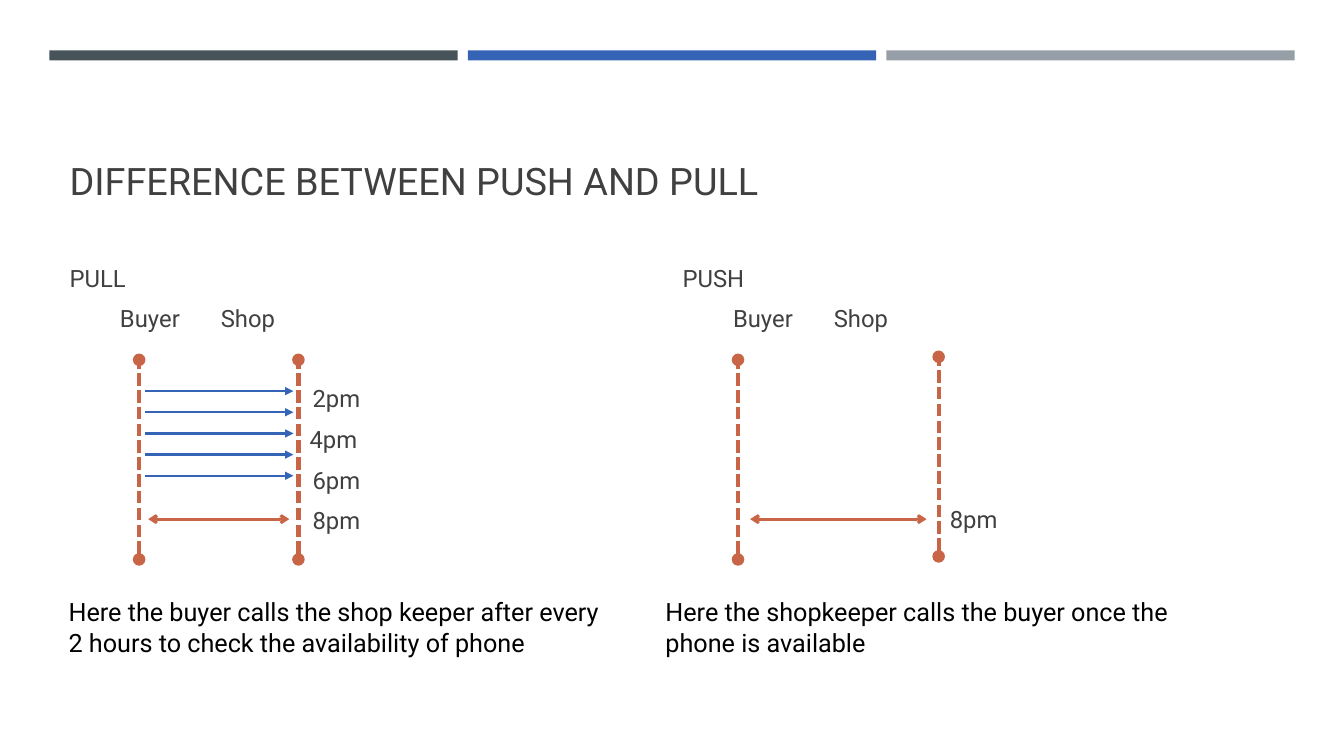
from dataclasses import dataclass

from lxml import etree
from pptx import Presentation
from pptx import util as u
from pptx.dml.color import RGBColor
from pptx.enum import dml, shapes, text
from pptx.oxml.ns import qn

PX = 9144


@dataclass(frozen=True)
class Theme:
    """Colours, font and type sizes of the slide."""
    font: str = "Roboto"
    slate: str = "465359"
    blue: str = "3564B7"
    grey: str = "969FA7"
    rust: str = "C96547"
    body: str = "404040"
    black: str = "000000"
    title_size: int = 27
    label_size: int = 17
    caption_size: int = 18


def px(length):
    """Turn px into EMU."""
    return u.Emu(length * PX)


def write(paragraph, words, *, font, size, color, spacing=1.0, before=0, indent=0, tabs=()):
    """Fill one paragraph and format it."""
    paragraph.text = words
    paragraph.line_spacing = spacing
    paragraph.space_before = u.Pt(before)
    for run in paragraph.runs:
        run.font.name = font
        run.font.size = u.Pt(size)
        run.font.color.rgb = RGBColor.from_string(color)
    properties = paragraph._p.get_or_add_pPr()
    properties.set("marL", str(px(indent)))
    properties.set("indent", "0")
    if tabs:
        stops = etree.SubElement(properties, qn("a:tabLst"))
        for stop in tabs:
            etree.SubElement(stops, qn("a:tab"), pos=str(px(stop)), algn="l")


class Deck:
    """Draws styled elements on the current slide."""

    def __init__(self, theme):
        """Open a deck with one title-only slide."""
        self.theme = theme
        self.file = Presentation()
        self.file.slide_width, self.file.slide_height = px(1333), px(750)
        self.slide = self.file.slides.add_slide(self.file.slide_layouts[5])

    def frame(self, shape, anchor, wrap=True):
        """Set the margins, anchor and wrapping of a shape's text."""
        frame = shape.text_frame
        frame.margin_left = frame.margin_right = px(5)
        frame.margin_top = frame.margin_bottom = px(5)
        frame.vertical_anchor = anchor
        frame.word_wrap = wrap
        return frame

    def title(self, words, left, top, width, height):
        """Place and fill the title placeholder."""
        heading = self.slide.shapes.title
        heading.left, heading.top = px(left), px(top)
        heading.width, heading.height = px(width), px(height)
        frame = self.frame(heading, text.MSO_ANCHOR.BOTTOM)
        frame.auto_size = text.MSO_AUTO_SIZE.NONE
        paragraph = frame.paragraphs[0]
        paragraph.alignment = text.PP_ALIGN.LEFT
        write(paragraph, words, font=self.theme.font, size=self.theme.title_size,
              color=self.theme.body, spacing=0.9)

    def bar(self, left, top, width, height, color):
        """Draw a plain filled bar."""
        bar = self.slide.shapes.add_shape(
            shapes.MSO_SHAPE.RECTANGLE, px(left), px(top), px(width), px(height))
        bar.shadow.inherit = False
        bar.fill.solid()
        bar.fill.fore_color.rgb = RGBColor.from_string(color)
        bar.line.fill.background()

    def labels(self, left, top, width, height, rows):
        """Write a column of labels from (words, format) rows."""
        box = self.slide.shapes.add_textbox(px(left), px(top), px(width), px(height))
        frame = self.frame(box, text.MSO_ANCHOR.TOP)
        for number, (words, layout) in enumerate(rows):
            paragraph = frame.add_paragraph() if number else frame.paragraphs[0]
            write(paragraph, words, font=self.theme.font, size=self.theme.label_size,
                  color=self.theme.body, spacing=1.1, **layout)

    def caption(self, words, left, top, width, height):
        """Write an unwrapped caption."""
        box = self.slide.shapes.add_textbox(px(left), px(top), px(width), px(height))
        frame = self.frame(box, text.MSO_ANCHOR.TOP, wrap=False)
        write(frame.paragraphs[0], words, font=self.theme.font,
              size=self.theme.caption_size, color=self.theme.black)

    def line(self, start, end, color, weight, head=None, tail=None, dash=None):
        """Draw a straight line with optional ends and dashes."""
        link = self.slide.shapes.add_connector(
            shapes.MSO_CONNECTOR.STRAIGHT, *map(px, start + end))
        link.line.color.rgb = RGBColor.from_string(color)
        link.line.width = u.Pt(weight)
        if dash:
            link.line.dash_style = dash
        outline = link.line._get_or_add_ln()
        for tag, kind in (("a:headEnd", head), ("a:tailEnd", tail)):
            if kind:
                etree.SubElement(outline, qn(tag), type=kind)
        etree.SubElement(link._element.spPr, qn("a:effectLst"))

    def lifeline(self, x, top):
        """Draw a dashed vertical line with round ends."""
        self.line((x, top + 198), (x, top), self.theme.rust, 3, "oval", "oval",
                  dml.MSO_LINE.SQUARE_DOT)


def main():
    """Build the push and pull slide."""
    theme = Theme()
    deck = Deck(theme)
    for position, color in enumerate((theme.slate, theme.blue, theme.grey)):
        deck.bar(49 + 415 * position, 50, 405, 10, color)
    deck.title("DIFFERENCE BETWEEN PUSH AND PULL", 64, 77, 1206, 130)

    pull_rows = [
        ("PULL", dict(before=4)),
        ("\tBuyer\tShop", dict(before=6, tabs=(50, 197))),
        ("2pm", dict(before=35, indent=241)),
        ("4pm", dict(before=6.6, indent=238)),
        ("6pm", dict(before=6.6, indent=241)),
        ("8pm", dict(before=6.6, indent=241)),
    ]
    push_rows = [
        ("PUSH", dict(before=4)),
        ("\tBuyer\tShop", dict(before=6, tabs=(25, 207))),
        ("8pm", dict(before=121, indent=265)),
    ]
    for left, rows in ((64, pull_rows), (672, push_rows)):
        deck.labels(left, 254, 599, 397, rows)

    for x, top in ((138, 357), (296, 357), (732, 357), (931, 354)):
        deck.lifeline(x, top)
    for call in range(5):
        y = 388 + 21 * call
        deck.line((144, y), (291, y), theme.blue, 1.75, tail="triangle")
    for buyer, shop in ((147, 287), (744, 919)):
        deck.line((buyer, 515), (shop, 515), theme.rust, 2, "arrow", "arrow")

    deck.caption("Here the buyer calls the shop keeper after every\v"
                 "2 hours to check the availability of phone", 63, 587, 552, 71)
    deck.caption("Here the shopkeeper calls the buyer once the\v"
                 "phone is available", 655, 587, 523, 71)
    deck.file.save("out.pptx")


if __name__ == "__main__":
    main()
